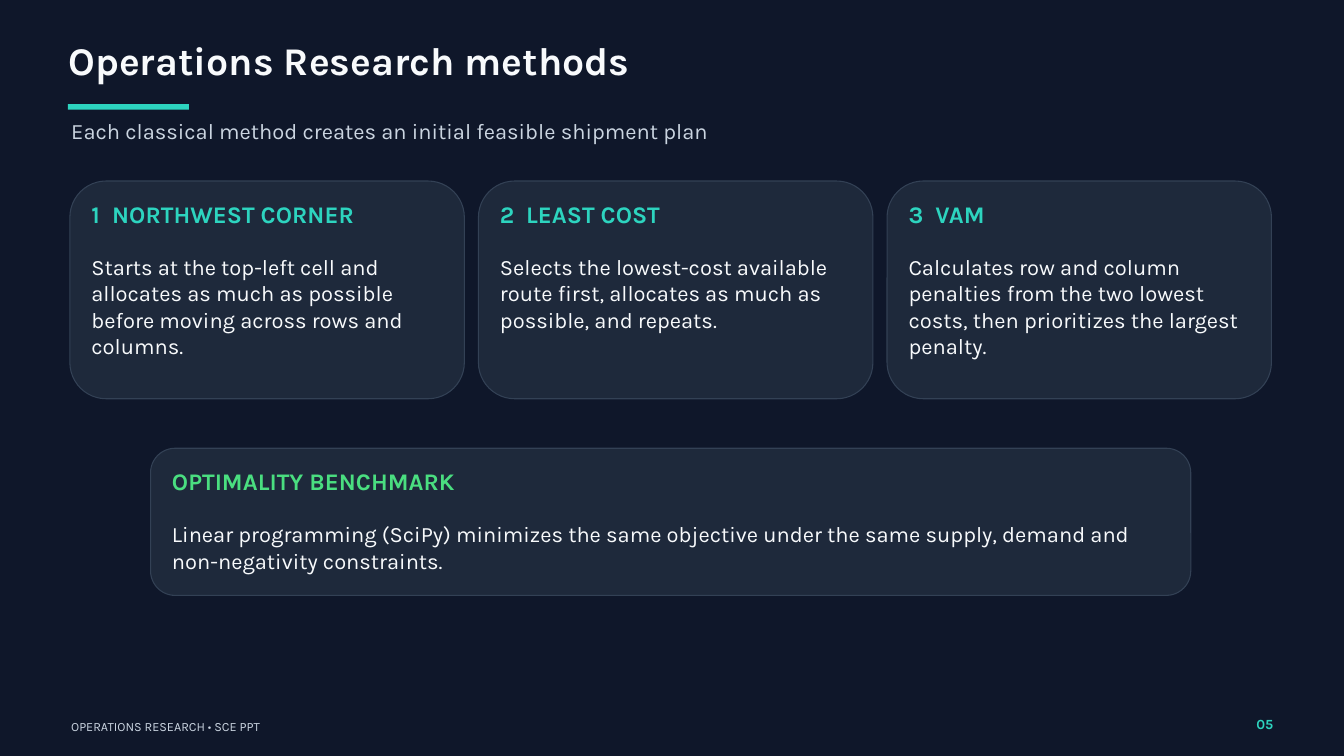
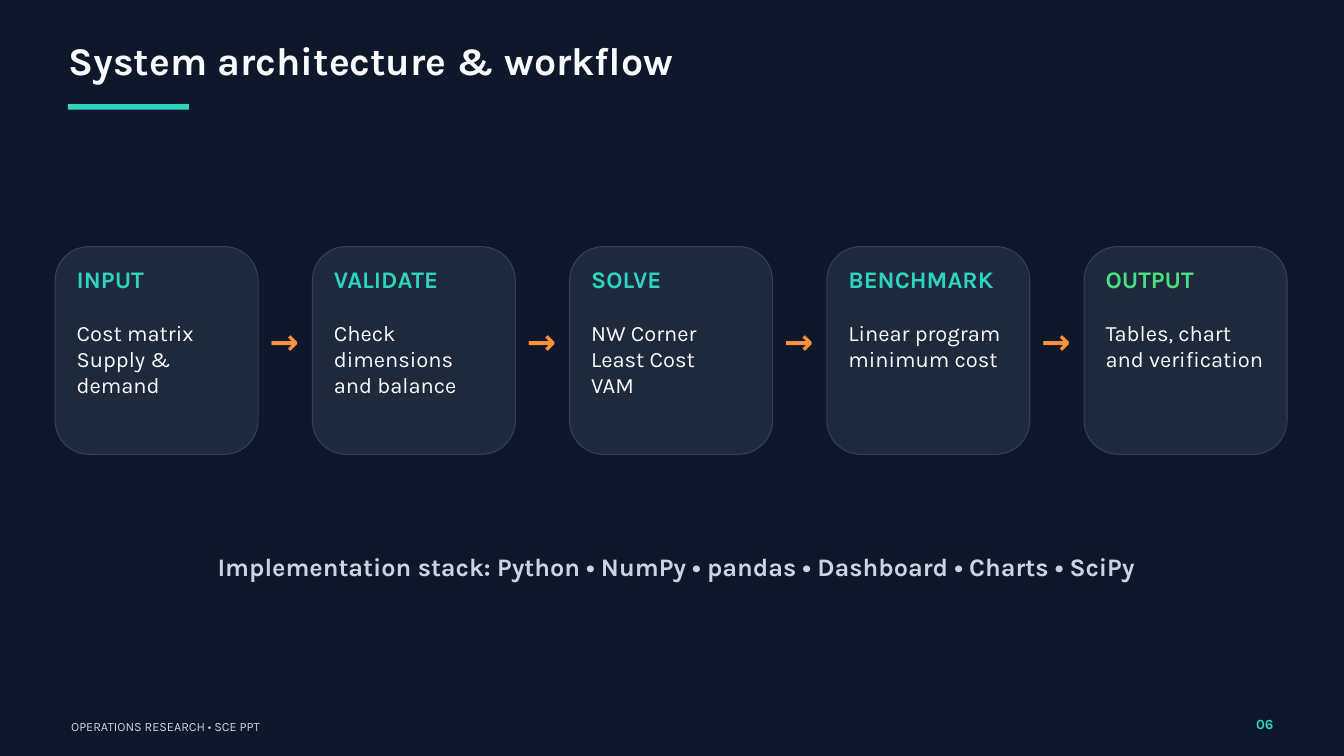
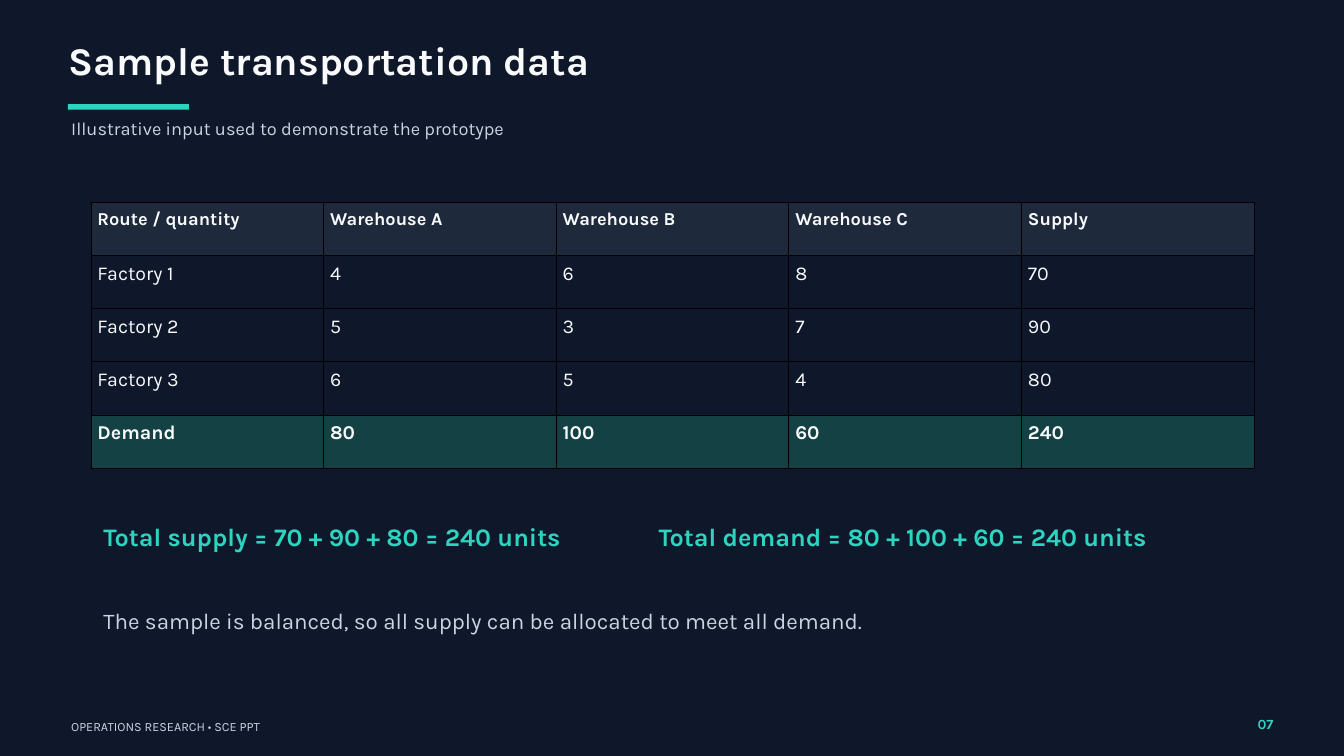
from dataclasses import dataclass, field
from typing import Any

from lxml import etree
from pptx import Presentation
from pptx.dml.color import RGBColor
from pptx.enum import shapes, text
from pptx.oxml.ns import qn
from pptx.util import Emu, Inches, Pt

# Grid: 100 columns of 0.2 in, with square cells
SLIDE_W, SLIDE_H = Inches(20), Inches(11.25)
CELL = SLIDE_W / 100


@dataclass(frozen=True)
class Theme:
    font: str = "Karla"
    background: str = "0F172A"
    panel: str = "1E293B"
    outline: str = "334155"
    white: str = "F8FAFC"
    muted: str = "CBD5E1"
    teal: str = "2DD4BF"
    green: str = "4ADE80"
    orange: str = "FB923C"
    total: str = "144144"
    border: str = "000000"
    title_size: float = 42
    arrow_size: float = 37.5
    statement_size: float = 27
    heading_size: float = 25.5
    note_size: float = 24
    body_size: float = 23.5
    cell_size: float = 21
    small_size: float = 19.5
    number_size: float = 15
    footer_size: float = 13.5
    leading: float = 1.2


THEME = Theme()


@dataclass(frozen=True)
class Box:
    """A place on the grid, in columns and rows."""
    left: float
    top: float
    width: float
    height: float

    def emu(self) -> list[Emu]:
        return [Emu(round(v * CELL)) for v in (self.left, self.top, self.width, self.height)]


@dataclass(frozen=True)
class Style:
    size: float
    color: str
    bold: bool = False
    align: Any = text.PP_ALIGN.LEFT
    tab: float = 0  # columns


@dataclass(frozen=True)
class Card:
    heading: str
    body: list[str]
    lines: int
    accent: str = field(default=THEME.teal)
    tab: float = 0


BODY = Style(THEME.body_size, THEME.white)
STATEMENT = Style(THEME.statement_size, THEME.teal, True)
FRAME_FORMAT = {
    "margin_left": 0, "margin_right": 0, "margin_top": 0, "margin_bottom": 0,
    "word_wrap": True, "auto_size": text.MSO_AUTO_SIZE.NONE,
    "vertical_anchor": text.MSO_ANCHOR.TOP,
}
CELL_FORMAT = {
    "margin_left": Inches(0.1), "margin_right": Inches(0.1),
    "margin_top": Inches(0.1), "margin_bottom": Inches(0.1),
    "vertical_anchor": text.MSO_ANCHOR.TOP,
}


# Drawing helpers
def apply(target: Any, values: dict[str, Any]) -> None:
    for name, value in values.items():
        setattr(target, name, value)


def rgb(color: str) -> RGBColor:
    return RGBColor.from_string(color)


def fill(target: Any, color: str) -> None:
    target.fill.solid()
    target.fill.fore_color.rgb = rgb(color)


def write(frame: Any, lines: list[str], style: Style) -> None:
    for index, line in enumerate(lines):
        paragraph = frame.add_paragraph() if index else frame.paragraphs[0]
        apply(paragraph, {"alignment": style.align, "space_before": Pt(0),
                          "line_spacing": Pt(style.size * THEME.leading)})
        if style.tab:
            stops = etree.SubElement(paragraph._p.get_or_add_pPr(), qn("a:tabLst"))
            etree.SubElement(stops, qn("a:tab"), pos=str(round(style.tab * CELL)), algn="l")
        run = paragraph.add_run()
        run.text = line
        apply(run.font, {"name": THEME.font, "size": Pt(style.size), "bold": style.bold})
        run.font.color.rgb = rgb(style.color)


def add_text(slide: Any, box: Box, lines: list[str], style: Style) -> None:
    frame = slide.shapes.add_textbox(*box.emu()).text_frame
    apply(frame, FRAME_FORMAT)
    write(frame, lines, style)


def add_panel(slide: Any, kind: Any, box: Box, color: str, outline: str = "") -> None:
    panel = slide.shapes.add_shape(kind, *box.emu())
    panel.shadow.inherit = False
    fill(panel, color)
    if outline:
        panel.line.color.rgb = rgb(outline)
        panel.line.width = Pt(1.13)
    else:
        panel.line.fill.background()


def add_card(slide: Any, box: Box, card: Card) -> None:
    add_panel(slide, shapes.MSO_SHAPE.ROUNDED_RECTANGLE, box, THEME.panel, THEME.outline)
    left, width = box.left + 1.6, box.width - 3.2
    add_text(slide, Box(left, box.top + 1.35, width, 2.95), [card.heading],
             Style(THEME.heading_size, card.accent, True, tab=card.tab))
    add_text(slide, Box(left, box.top + 5.4, width, card.lines * 1.93), card.body, BODY)


def add_grid(slide: Any, box: Box, rows: list[list[str]]) -> None:
    table = slide.shapes.add_table(len(rows), len(rows[0]), *box.emu()).table
    apply(table, {"first_row": False, "horz_banding": False})
    bold_white = Style(THEME.cell_size, THEME.white, True)
    looks = {0: (THEME.panel, Style(THEME.small_size, THEME.white, True)),
             len(rows) - 1: (THEME.total, bold_white)}
    plain = (THEME.background, Style(THEME.cell_size, THEME.white))
    for r, row in enumerate(rows):
        color, style = looks.get(r, plain)
        for c, value in enumerate(row):
            cell = table.cell(r, c)
            apply(cell, CELL_FORMAT)
            for side in ("a:lnL", "a:lnR", "a:lnT", "a:lnB"):
                edge = etree.SubElement(cell._tc.get_or_add_tcPr(), qn(side), w=str(Pt(0.37)))
                solid = etree.SubElement(edge, qn("a:solidFill"))
                etree.SubElement(solid, qn("a:srgbClr"), val=THEME.border)
            fill(cell, color)
            write(cell.text_frame, [value], style)


# Title, accent band, subtitle and footer shared by all slides
def add_base(deck: Any, title: str, number: int, subtitle: str = "",
             subtitle_size: float = THEME.body_size) -> Any:
    slide = deck.slides.add_slide(deck.slide_layouts.get_by_name("Title Only"))
    heading = slide.shapes.title
    places = zip(("left", "top", "width", "height"), Box(5.1, 2.7, 89.65, 3.95).emu())
    apply(heading, dict(places))
    apply(heading.text_frame, FRAME_FORMAT)
    write(heading.text_frame, [title], Style(THEME.title_size, THEME.white, True))
    add_panel(slide, shapes.MSO_SHAPE.RECTANGLE, Box(5.05, 7.75, 9, 0.4), THEME.teal)
    if subtitle:
        add_text(slide, Box(5.3, 8.75, 89.65, 1.95), [subtitle],
                 Style(subtitle_size, THEME.muted))
    add_text(slide, Box(5.3, 53.5, 63.4, 1.15), ["OPERATIONS RESEARCH • SCE PPT"],
             Style(THEME.footer_size, THEME.muted))
    add_text(slide, Box(91.4, 53.25, 3.35, 1.7), [f"{number:02d}"],
             Style(THEME.number_size, THEME.teal, True, text.PP_ALIGN.RIGHT))
    return slide


# Slide 5: three methods and the benchmark
def build_methods(deck: Any) -> None:
    slide = add_base(deck, "Operations Research methods", 5,
                     "Each classical method creates an initial feasible shipment plan")
    methods = [
        Card("1\tNORTHWEST CORNER", ["Starts at the top-left cell and allocates as much as "
             "possible before moving across rows and columns."], 3, tab=1.55),
        Card("2\tLEAST COST", ["Selects the lowest-cost available route first, allocates "
             "as much as possible, and repeats."], 3, tab=1.95),
        Card("3\tVAM", ["Calculates row and column penalties from the two lowest costs, "
             "then prioritizes the largest penalty."], 4, tab=2),
    ]
    for index, (method, width) in enumerate(zip(methods, (29.35, 29.35, 28.6))):
        add_card(slide, Box(5.2 + 30.4 * index, 13.47, width, 16.2), method)
    benchmark = Card("OPTIMALITY BENCHMARK", ["Linear programming (SciPy) minimizes the same "
                     "objective under the same supply, demand and non-negativity constraints."],
                     2, THEME.green)
    add_card(slide, Box(11.2, 33.35, 77.4, 10.95), benchmark)


# Slide 6: five steps joined by arrows
def build_workflow(deck: Any) -> None:
    slide = add_base(deck, "System architecture & workflow", 6)
    steps = [
        Card("INPUT", ["Cost matrix", "Supply & demand"], 3),
        Card("VALIDATE", ["Check dimensions", "and balance"], 3),
        Card("SOLVE", ["NW Corner", "Least Cost", "VAM"], 3),
        Card("BENCHMARK", ["Linear program", "minimum cost"], 2),
        Card("OUTPUT", ["Tables, chart", "and verification"], 2, THEME.green),
    ]
    arrow = Style(THEME.arrow_size, THEME.orange, True, text.PP_ALIGN.CENTER)
    for index, step in enumerate(steps):
        left = 4.1 + 19.14 * index
        if index:
            add_text(slide, Box(left - 3.69, 23.75, 3.2, 3.55), ["→"], arrow)
        add_card(slide, Box(left, 18.35, 15.1, 15.45), step)
    add_text(slide, Box(6.6, 41, 87.4, 3.95),
             ["Implementation stack: Python • NumPy • pandas • Dashboard • Charts • SciPy"],
             Style(THEME.statement_size, THEME.muted, True, text.PP_ALIGN.CENTER))


# Slide 7: cost table and its totals
def build_data(deck: Any) -> None:
    slide = add_base(deck, "Sample transportation data", 7,
                     "Illustrative input used to demonstrate the prototype", THEME.small_size)
    add_grid(slide, Box(6.75, 15.02, 86.55, 19.8), [
        ["Route / quantity", "Warehouse A", "Warehouse B", "Warehouse C", "Supply"],
        ["Factory 1", "4", "6", "8", "70"],
        ["Factory 2", "5", "3", "7", "90"],
        ["Factory 3", "6", "5", "4", "80"],
        ["Demand", "80", "100", "60", "240"],
    ])
    add_text(slide, Box(7.7, 38.77, 39.4, 3.2),
             ["Total supply = 70 + 90 + 80 = 240 units"], STATEMENT)
    add_text(slide, Box(49, 38.77, 42.4, 3.2),
             ["Total demand = 80 + 100 + 60 = 240 units"], STATEMENT)
    add_text(slide, Box(7.7, 45.15, 83.65, 3.2),
             ["The sample is balanced, so all supply can be allocated to meet all demand."],
             Style(THEME.note_size, THEME.muted))


def main() -> None:
    deck = Presentation()
    apply(deck, {"slide_width": SLIDE_W, "slide_height": SLIDE_H})
    fill(deck.slide_master.background, THEME.background)
    for build in (build_methods, build_workflow, build_data):
        build(deck)
    deck.save("out.pptx")


if __name__ == "__main__":
    main()
